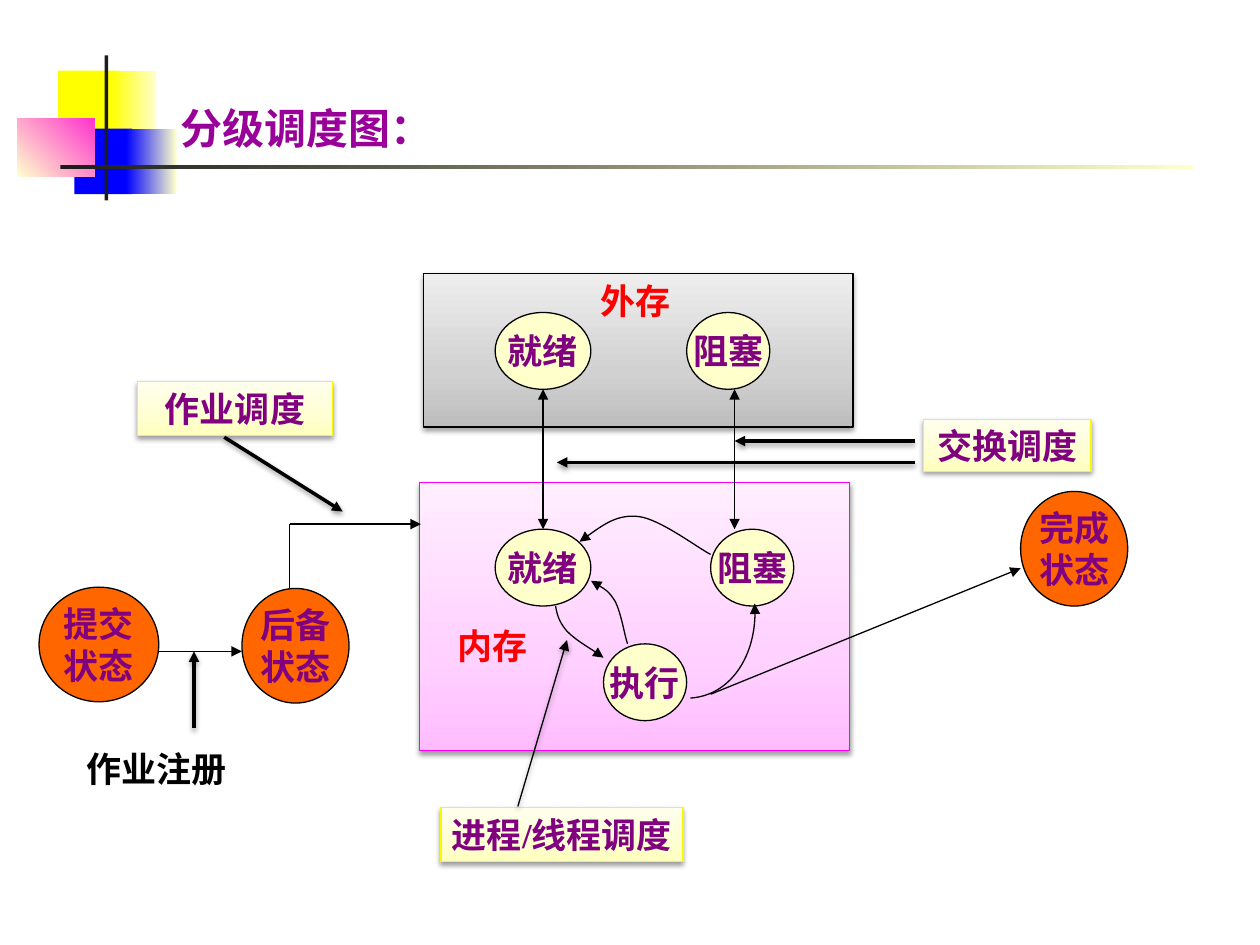
from copy import deepcopy

from lxml.etree import SubElement
from pptx import Presentation
from pptx.dml.color import RGBColor
from pptx.enum.shapes import MSO_CONNECTOR as CONNECTOR, MSO_SHAPE as SHAPE
from pptx.enum.text import MSO_ANCHOR as ANCHOR, PP_ALIGN as ALIGN
from pptx.oxml.ns import qn
from pptx.util import Inches, Pt

COLORS = {
    "yellow": "FFFF00", "cream": "FFFFCC", "blue": "0000FF", "pink": "FF33CC",
    "ink": "1C1C1C", "black": "000000", "purple": "800080", "title": "990099",
    "red": "FF0000", "orange": "FF6600", "label_line": "F9F900",
    "memory_line": "F900F9",
    "label1": "FFFFBD", "label2": "FFFFD1", "label3": "FFFFEE",
    "disk1": "BDBDBD", "disk2": "D1D1D1", "disk3": "EEEEEE",
    "memory1": "FFBDFF", "memory2": "FFD1FF", "memory3": "FFEEFF",
}


def outline(shape, color="black", width=0.75, head=False, tail=False, shadow=False):
    shape.line.color.rgb = RGBColor.from_string(COLORS[color])
    shape.line.width = Pt(width)
    properties = shape._element.spPr
    line = properties.find(qn("a:ln"))
    for tag, wanted in (("a:headEnd", head), ("a:tailEnd", tail)):
        if wanted:
            SubElement(line, qn(tag), type="triangle")
    effects = SubElement(properties, qn("a:effectLst"))
    if shadow:
        outer = SubElement(effects, qn("a:outerShdw"), blurRad=str(Pt(3.1)),
                           dist=str(Pt(1.6)), dir="5400000", rotWithShape="0")
        black = SubElement(outer, qn("a:srgbClr"), val=COLORS["black"])
        SubElement(black, qn("a:alpha"), val="38000")


def write(shape, text, color, size=20, align=ALIGN.CENTER, anchor=ANCHOR.MIDDLE):
    frame = shape.text_frame
    frame.word_wrap = False
    frame.vertical_anchor = anchor
    for index, words in enumerate(text.split("\n")):
        paragraph = frame.add_paragraph() if index else frame.paragraphs[0]
        paragraph.alignment = align
        run = paragraph.add_run()
        run.text = words
        run.font.name = "Times New Roman"
        run.font.size = Pt(size)
        run.font.bold = True
        run.font.color.rgb = RGBColor.from_string(COLORS[color])


presentation = Presentation()
presentation.slide_width = Inches(10)
presentation.slide_height = Inches(7.5)
slide = presentation.slides.add_slide(presentation.slide_layouts[5])
shapes = slide.shapes

title = shapes.title
title.left, title.top, title.width, title.height = map(Inches, (1.33, 0.76, 2.21, 0.5))
write(title, "分级调度图：", "title", 24, ALIGN.LEFT, ANCHOR.TOP)

label_fill = ["label1", "label2", "label3"]
panels = [
    ((0.46, 0.56, 0.48, 0.52), ["yellow"], 0, None, ""),
    ((0.88, 0.56, 0.36, 0.52), ["yellow", "cream"], 0, None, ""),
    ((0.59, 1.02, 0.46, 0.52), ["blue"], 0, None, ""),
    ((1, 1.02, 0.4, 0.52), ["blue", "cream"], 0, None, ""),
    ((0.14, 0.94, 0.61, 0.46), ["cream", "pink"], 45, None, ""),
    ((0.83, 0.44, 0.03, 1.15), ["ink"], 0, None, ""),
    ((0.48, 1.31, 9, 0.03), ["ink", "cream"], 0, None, ""),
    ((3.36, 2.17, 3.41, 1.22), ["disk1", "disk2", "disk3"], 90, "black", ""),
    ((3.33, 3.83, 3.41, 2.13), ["memory1", "memory2", "memory3"], 90, "memory_line", ""),
    ((7.33, 3.33, 1.33, 0.41), label_fill, 90, "label_line", "交换调度"),
    ((3.5, 6.41, 1.92, 0.43), label_fill, 90, "label_line", "进程/线程调度"),
    ((1.09, 3.03, 1.55, 0.43), label_fill, 90, "label_line", "作业调度"),
]
for box, fill, angle, line_color, text in panels:
    panel = shapes.add_shape(SHAPE.RECTANGLE, *map(Inches, box))
    if len(fill) == 1:
        panel.fill.solid()
        panel.fill.fore_color.rgb = RGBColor.from_string(COLORS[fill[0]])
    else:
        panel.fill.gradient()
        panel.fill.gradient_angle = angle
        stop_list = panel._element.spPr.find(".//" + qn("a:gsLst"))
        if len(fill) == 3:
            stop_list.append(deepcopy(stop_list[0]))
        positions = [0, 0.35, 1] if len(fill) == 3 else [0, 1]
        for stop, position, name in zip(panel.fill.gradient_stops, positions, fill):
            stop.position = position
            stop.color.rgb = RGBColor.from_string(COLORS[name])
    if line_color:
        outline(panel, line_color, shadow=True)
    else:
        panel.line.fill.background()
        panel.shadow.inherit = False
    if text:
        write(panel, text, "purple")

states = [
    ((0.31, 4.66, 0.95, 0.91), "orange", "提交\n状态"),
    ((1.92, 4.67, 0.85, 0.91), "orange", "后备\n状态"),
    ((8.1, 3.9, 0.85, 0.91), "orange", "完成\n状态"),
    ((3.93, 2.48, 0.76, 0.61), "cream", "就绪"),
    ((5.45, 2.48, 0.66, 0.61), "cream", "阻塞"),
    ((3.93, 4.2, 0.76, 0.61), "cream", "就绪"),
    ((5.64, 4.2, 0.66, 0.61), "cream", "阻塞"),
    ((4.79, 5.11, 0.66, 0.61), "cream", "执行"),
]
for box, fill, text in states:
    state = shapes.add_shape(SHAPE.OVAL, *map(Inches, box))
    state.fill.solid()
    state.fill.fore_color.rgb = RGBColor.from_string(COLORS[fill])
    outline(state)
    write(state, text, "purple")

captions = [
    ((4.67, 2.17, 0.77, 0.44), "red", "外存"),
    ((3.53, 4.91, 0.77, 0.44), "red", "内存"),
    ((0.59, 5.88, 1.33, 0.44), "black", "作业注册"),
]
for box, color, text in captions:
    caption = shapes.add_textbox(*map(Inches, box))
    write(caption, text, color, align=ALIGN.LEFT, anchor=ANCHOR.TOP)

thin, thick = 0.75, 2
arrows = [
    ((5.83, 3.5, 7.26, 3.5), thick, True, False, True),
    ((4.42, 3.67, 7.26, 3.67), thick, True, False, True),
    ((1.54, 5.17, 1.54, 5.78), thick, True, False, True),
    ((1.78, 3.47, 2.72, 4.06), thick, False, True, True),
    ((4.11, 6.4, 4.5, 5.08), thin, False, True, True),
    ((4.31, 3.09, 4.31, 4.2), thin, True, True, False),
    ((5.83, 3.09, 5.83, 4.2), thin, True, True, False),
    ((5.64, 5.51, 8.1, 4.51), thin, False, True, False),
    ((1.25, 5.17, 1.92, 5.17), thin, False, True, False),
    ((2.3, 4.16, 2.3, 4.67), thin, False, False, False),
    ((2.3, 4.16, 3.34, 4.16), thin, False, True, False),
]
for ends, width, head, tail, shadow in arrows:
    arrow = shapes.add_connector(CONNECTOR.STRAIGHT, *map(Inches, ends))
    outline(arrow, "black", width, head, tail, shadow)

curves = [
    ([(4.6, 4.3), (4.75, 4.19), (4.9, 4.08), (5.07, 4.1),
      (5.24, 4.12), (5.54, 4.35), (5.64, 4.4)], True),
    ([(4.69, 4.61), (4.76, 4.65), (4.83, 4.69), (4.88, 4.77),
      (4.93, 4.86), (4.96, 5.06), (4.98, 5.11)], True),
    ([(4.41, 4.81), (4.42, 4.88), (4.44, 4.94), (4.5, 5.01),
      (4.57, 5.08), (4.74, 5.18), (4.79, 5.22)], False),
    ([(5.48, 5.54), (5.79, 5.52), (6.02, 5.18), (5.99, 4.79)], False),
]
for points, head in curves:
    builder = shapes.build_freeform(*points[0], scale=Inches(1) / 1.0)
    builder = shapes.build_freeform(Inches(points[0][0]), Inches(points[0][1]))
    builder.add_line_segments([(Inches(x), Inches(y)) for x, y in points[1:]], close=False)
    curve = builder.convert_to_shape()
    outline_path = curve._element.spPr.find(".//" + qn("a:path"))
    segments = outline_path.findall(qn("a:lnTo"))
    for start in range(0, len(segments), 3):
        bezier = SubElement(outline_path, qn("a:cubicBezTo"))
        for segment in segments[start:start + 3]:
            bezier.append(segment[0])
            outline_path.remove(segment)
    curve.fill.background()
    outline(curve, head=head, tail=not head)

presentation.save("out.pptx")
